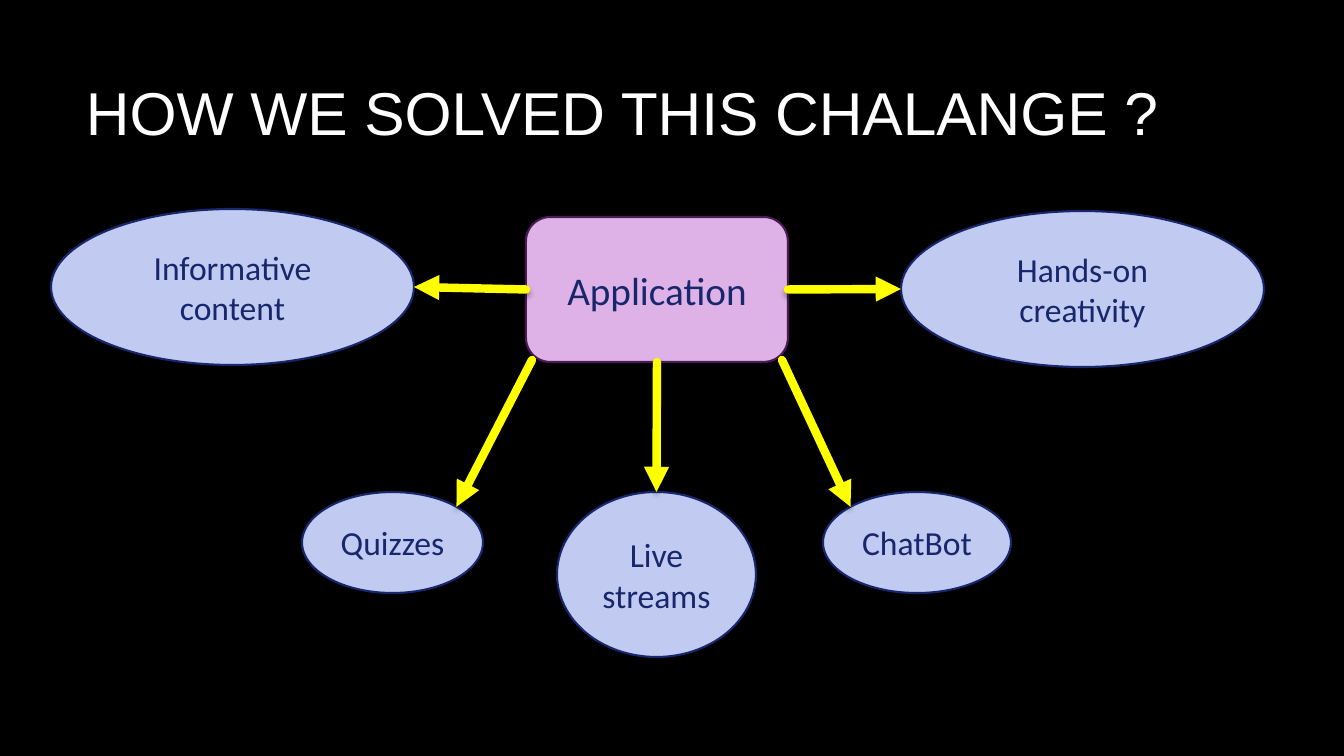
import math

from lxml import etree
from pptx import Presentation
from pptx.dml.color import RGBColor
from pptx.enum.shapes import MSO_CONNECTOR, MSO_SHAPE
from pptx.enum.text import MSO_ANCHOR, PP_ALIGN
from pptx.oxml import parse_xml
from pptx.oxml.ns import nsdecls, qn
from pptx.util import Pt

STRAIGHT = MSO_CONNECTOR.STRAIGHT
ELLIPSE, ROUNDED = MSO_SHAPE.OVAL, MSO_SHAPE.ROUNDED_RECTANGLE
MIDDLE = MSO_ANCHOR.MIDDLE
LEFT, CENTER = PP_ALIGN.LEFT, PP_ALIGN.CENTER

# Content: boxes are left, top, width, height in px
SLIDE = (1344, 756)
TITLE = ("HOW WE SOLVED THIS CHALANGE ?", (76, 31, 1117, 160))
HUB = ("Application", (526, 217, 262, 145))
# text, box, side of the hub where the arrow starts, direction of the arrow's
# end seen from the ellipse's centre (degrees, clockwise from the right)
FEATURES = [
    ("Informative content", (51, 209, 363, 156), "left", 0),
    ("Hands-on creativity", (901, 211, 363, 156), "right", 180),
    ("Quizzes", (302, 492, 181, 101), "bottom left", 315),
    ("Live streams", (557, 492, 199, 165), "bottom", 270),
    ("ChatBot", (823, 492, 188, 101), "bottom right", 225),
]
HUB_SITES = {"left": 1, "bottom": 2, "right": 3}
CORNER_INSET = (6, 2)

THEME = {
    "background": "000000", "title": "FFFFFF", "ink": "18276C",
    "hub": "DEB2E6", "hub_line": "4B1B55", "feature": "C1CAF1", "arrow": "FFFF00",
    "title_font": "Arial", "body_font": "Calibri",
    "title_size": 43.2, "hub_size": 28, "feature_size": 24,
    "outline": 1.5, "arrow_width": 6,
}

EMU_PER_PX = 914400 / 100.8


def px(*lengths):
    return [round(n * EMU_PER_PX) for n in lengths]


def colour(name):
    return RGBColor.from_string(THEME[name])


def write(shape, text, *, font="body_font", size, color="ink", align=CENTER):
    tf = shape.text_frame
    tf.word_wrap = True
    tf.vertical_anchor = MIDDLE
    p = tf.paragraphs[0]
    p.alignment = align
    r = p.add_run()
    r.text = text
    r.font.name = THEME[font]
    r.font.size = Pt(THEME[size])
    r.font.color.rgb = colour(color)


def add_node(s, kind, text, box, fill, line, size):
    sp = s.shapes.add_shape(kind, *px(*box))
    sp.shadow.inherit = False
    sp.fill.solid()
    sp.fill.fore_color.rgb = colour(fill)
    sp.line.color.rgb = colour(line)
    sp.line.width = Pt(THEME["outline"])
    write(sp, text, size=size)
    return sp


def hub_point(side):
    x, y, w, h = HUB[1]
    dx, dy = CORNER_INSET
    return {
        "left": (x, y + h / 2),
        "right": (x + w, y + h / 2),
        "bottom": (x + w / 2, y + h),
        "bottom left": (x + dx, y + h - dy),
        "bottom right": (x + w - dx, y + h - dy),
    }[side]


def ellipse_point(box, degrees):
    x, y, w, h = box
    angle = math.radians(degrees)
    return x + w / 2 * (1 + math.cos(angle)), y + h / 2 * (1 + math.sin(angle))


def add_arrow(s, start, end):
    cn = s.shapes.add_connector(STRAIGHT, *px(*start, *end))
    cn.line.color.rgb = colour("arrow")
    cn.line.width = Pt(THEME["arrow_width"])
    ln = cn.line._get_or_add_ln()
    ln.set("cap", "rnd")
    etree.SubElement(ln, qn("a:tailEnd"), type="triangle")
    cn._element.spPr.append(parse_xml(
        f'<a:effectLst {nsdecls("a")}>'
        '<a:outerShdw blurRad="50800" dist="38100" dir="5400000" rotWithShape="0">'
        '<a:srgbClr val="000000"><a:alpha val="35000"/></a:srgbClr>'
        '</a:outerShdw></a:effectLst>'))
    return cn


def main():
    prs = Presentation()
    prs.slide_width, prs.slide_height = px(*SLIDE)
    s = prs.slides.add_slide(prs.slide_layouts[6])
    s.background.fill.solid()
    s.background.fill.fore_color.rgb = colour("background")

    text, box = TITLE
    write(s.shapes.add_textbox(*px(*box)), text, font="title_font",
          size="title_size", color="title", align=LEFT)

    hub = add_node(s, ROUNDED, *HUB, "hub", "hub_line", "hub_size")
    for text, box, side, degrees in FEATURES:
        feature = add_node(s, ELLIPSE, text, box, "feature", "ink", "feature_size")
        arrow = add_arrow(s, hub_point(side), ellipse_point(box, degrees))
        if side in HUB_SITES:
            arrow.begin_connect(hub, HUB_SITES[side])
        if side == "bottom":
            arrow.end_connect(feature, 0)

    prs.save("out.pptx")


if __name__ == "__main__":
    main()
